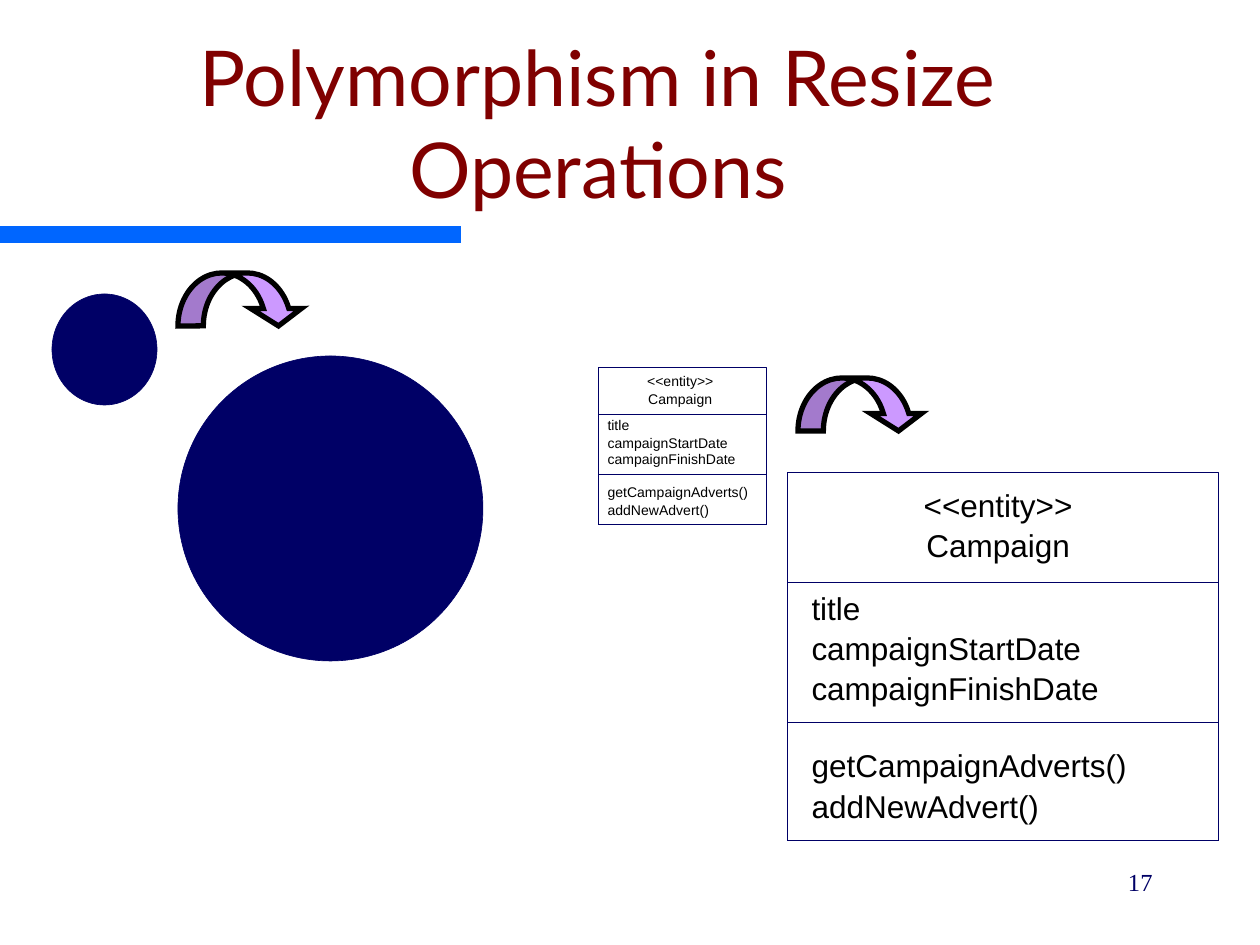
import dataclasses

import lxml.etree
import pptx
import pptx.dml.color
import pptx.enum.shapes
import pptx.enum.text
import pptx.oxml.ns
import pptx.util

SHAPE = pptx.enum.shapes.MSO_SHAPE
ALIGN = pptx.enum.text.PP_ALIGN
ANCHOR = pptx.enum.text.MSO_ANCHOR
FIT = pptx.enum.text.MSO_AUTO_SIZE
SCALE = 914400 / 126


@dataclasses.dataclass(frozen=True)
class Theme:
    """Colours, fonts and type sizes of the slide."""
    navy: str = "000066"
    black: str = "000000"
    maroon: str = "800000"
    blue: str = "0066FF"
    lilac: str = "CC99FF"
    head: str = "Lato"
    body: str = "Arial"
    foot: str = "Times New Roman"
    large: int = 44
    wide: int = 18
    note: int = 14
    small: int = 8
    thin: float = 0.37
    thick: float = 3


THEME = Theme()

HEADS = [("<<entity>>", 0.037, 8.5), ("Campaign", 0.147, 8.2)]
ROWS = [
    ("title", 0.317, 2.9),
    ("campaignStartDate", 0.427, 15.3),
    ("campaignFinishDate", 0.535, 16.2),
    ("getCampaignAdverts()", 0.745, 17.8),
    ("addNewAdvert()", 0.856, 12.9),
]


def emu(box):
    """Turn px lengths into EMU."""
    return [round(side * SCALE) for side in box]


def tint(text):
    """Give the colour for a hex string."""
    return pptx.dml.color.RGBColor.from_string(text)


def shape(slide, kind, box, fill=None, line=None, weight=THEME.thin):
    """Add a preset shape with a plain fill and line."""
    item = slide.shapes.add_shape(kind, *emu(box))
    item.shadow.inherit = False
    if fill:
        item.fill.solid()
        item.fill.fore_color.rgb = tint(fill)
    else:
        item.fill.background()
    if line:
        item.line.color.rgb = tint(line)
        item.line.width = pptx.util.Pt(weight)
    else:
        item.line.fill.background()
    return item


def write(slide, text, box, size, font=THEME.body, color=THEME.black,
          align=ALIGN.LEFT, anchor=ANCHOR.TOP, inset=(0, 0), wrap=False, before=0):
    """Add a text box with one formatted paragraph."""
    frame = slide.shapes.add_textbox(*emu(box)).text_frame
    frame.word_wrap = wrap
    frame.auto_size = FIT.NONE if wrap else FIT.SHAPE_TO_FIT_TEXT
    frame.vertical_anchor = anchor
    frame.margin_left = frame.margin_right = pptx.util.Inches(inset[0])
    frame.margin_top = frame.margin_bottom = pptx.util.Inches(inset[1])
    para = frame.paragraphs[0]
    para.alignment = align
    para.space_before = pptx.util.Pt(before)
    run = para.add_run()
    run.text = text
    run.font.size = pptx.util.Pt(size)
    run.font.name = font
    run.font.color.rgb = tint(color)


def header(slide, box):
    """Place the title and the bar beneath it."""
    left, top, width, height = box
    shape(slide, SHAPE.RECTANGLE, (left, top + 226, 461, 17), THEME.blue)
    write(slide, "Polymorphism in Resize Operations",
          (left + 31, top + 62, width - 126, height - 85), THEME.large,
          font=THEME.head, color=THEME.maroon, align=ALIGN.CENTER,
          anchor=ANCHOR.BOTTOM, inset=(0.1, 0.05), wrap=True)


def entity(slide, box, size):
    """Place a class box whose three parts scale with its frame."""
    left, top, width, height = box
    for share in (0, 0.3, 0.68):
        drop = round(height * share)
        shape(slide, SHAPE.RECTANGLE, (left, top + drop, width, height - drop),
              line=THEME.navy)
    tall = round(size * 2.1)
    for text, down, span in HEADS:
        write(slide, text, (left + width * 0.49 - span * size / 2,
                            top + height * down, span * size, tall),
              size, align=ALIGN.CENTER)
    for text, down, span in ROWS:
        write(slide, text, (left + width * 0.057, top + height * down,
                            span * size, tall), size)


def arrow(slide, left, top):
    """Place a curved arrow with sharp corners that marks a resize."""
    item = shape(slide, SHAPE.CURVED_DOWN_ARROW, (left, top, 126, 53),
                 THEME.lilac, THEME.black, THEME.thick)
    for index, value in enumerate((0.48, 0.96, 0.33)):
        item.adjustments[index] = value
    outline = item.line.fill._xPr
    lxml.etree.SubElement(outline, pptx.oxml.ns.qn("a:miter"), lim="800000")


def circles(slide, box):
    """Place the small and the large circle with their arrow."""
    left, top, width, height = box
    for spot in ((left, top + 21, 105, 111),
                 (left + width - 305, top + height - 305, 305, 305)):
        shape(slide, SHAPE.OVAL, spot, THEME.navy, THEME.navy)
    arrow(slide, left + 126, top)


def classes(slide, box):
    """Place the small and the large class box with their arrow."""
    left, top, width, height = box
    entity(slide, (left, top, 168, 157), THEME.small)
    entity(slide, (left + width - 431, top + height - 368, 431, 368), THEME.wide)
    arrow(slide, left + 200, top + 11)


def footer(slide, box):
    """Place the page number."""
    write(slide, "17", box, THEME.note, font=THEME.foot, color=THEME.navy,
          align=ALIGN.RIGHT, inset=(0.1, 0.05), wrap=True, before=8.8)


def main():
    """Build the slide and save it."""
    deck = pptx.Presentation()
    deck.slide_width, deck.slide_height = emu((1260, 945))
    slide = deck.slides.add_slide(deck.slide_layouts[6])
    header(slide, (0, 0, 1260, 243))
    classes(slide, (598, 367, 620, 473))
    circles(slide, (52, 273, 431, 388))
    footer(slide, (903, 861, 262, 63))
    deck.save("out.pptx")


if __name__ == "__main__":
    main()
